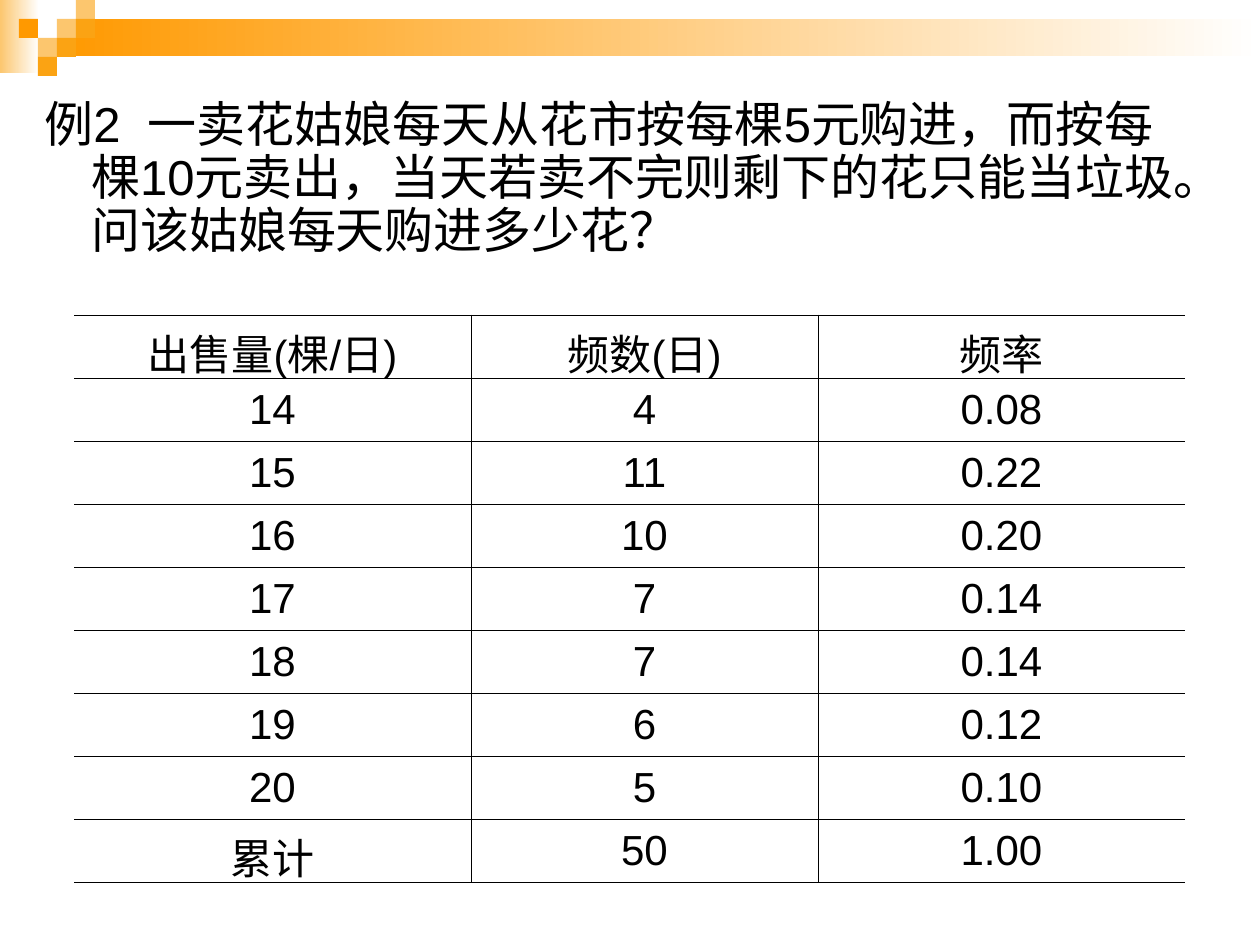
from dataclasses import dataclass

from lxml import etree
from pptx import Presentation
from pptx.dml.color import RGBColor
from pptx.enum.shapes import MSO_SHAPE
from pptx.enum.text import MSO_ANCHOR, PP_ALIGN
from pptx.oxml.ns import qn
from pptx.util import Emu, Pt

RECTANGLE = MSO_SHAPE.RECTANGLE
MIDDLE = MSO_ANCHOR.MIDDLE
CENTER = PP_ALIGN.CENTER

BLACK = RGBColor(0x00, 0x00, 0x00)
WHITE = RGBColor(0xFF, 0xFF, 0xFF)
ORANGE = RGBColor(0xFF, 0x99, 0x00)
AMBER = RGBColor(0xFB, 0xA3, 0x13)
PEACH = RGBColor(0xFC, 0xC6, 0x6E)

FONT = "Arial"
EMU_PER_PX = 914400 / 126
SQUARE = 19
BORDER_WIDTH = Pt(0.45)

QUESTION = (
    "例2  一卖花姑娘每天从花市按每棵5元购进，而按每棵10元卖出，"
    "当天若卖不完则剩下的花只能当垃圾。问该姑娘每天购进多少花？"
)
SALES = [
    ("出售量(棵/日)", "频数(日)", "频率"),
    ("14", "4", "0.08"),
    ("15", "11", "0.22"),
    ("16", "10", "0.20"),
    ("17", "7", "0.14"),
    ("18", "7", "0.14"),
    ("19", "6", "0.12"),
    ("20", "5", "0.10"),
    ("累计", "50", "1.00"),
]
COLUMN_WIDTHS = (397, 347, 367)
ROW_HEIGHT = 63


@dataclass(frozen=True)
class Box:
    left: int
    top: int
    width: int
    height: int

    def emu(self) -> tuple[Emu, ...]:
        return tuple(px(n) for n in (self.left, self.top, self.width, self.height))


@dataclass(frozen=True)
class Square:
    column: int
    row: int
    color: RGBColor


SQUARES = [
    Square(3, 1, PEACH),
    Square(4, 0, PEACH),
    Square(4, 1, AMBER),
    Square(2, 2, PEACH),
    Square(1, 1, ORANGE),
    Square(3, 2, AMBER),
    Square(2, 3, AMBER),
]


def px(length: int) -> Emu:
    return Emu(round(length * EMU_PER_PX))


def add_rectangle(slide, box: Box):
    shape = slide.shapes.add_shape(RECTANGLE, *box.emu())
    shape.shadow.inherit = False
    shape.line.fill.background()
    return shape


def add_fade(slide, box: Box, start: RGBColor) -> None:
    fill = add_rectangle(slide, box).fill
    fill.gradient()
    fill.gradient_angle = 0
    for stop, color in zip(fill.gradient_stops, (start, WHITE)):
        stop.color.rgb = color


def add_square(slide, square: Square) -> None:
    box = Box(square.column * SQUARE, square.row * SQUARE, SQUARE, SQUARE)
    fill = add_rectangle(slide, box).fill
    fill.solid()
    fill.fore_color.rgb = square.color


def format_paragraph(paragraph, size: int, space_before: int) -> None:
    paragraph.space_before = Pt(space_before)
    for run in paragraph.runs:
        run.font.name = FONT
        run.font.size = Pt(size)
        run.font.color.rgb = BLACK


def add_question(slide, box: Box) -> None:
    text_frame = slide.shapes.add_textbox(*box.emu()).text_frame
    text_frame.word_wrap = True
    text_frame.text = QUESTION
    paragraph = text_frame.paragraphs[0]
    paragraph.line_spacing = 0.9
    format_paragraph(paragraph, 28, 7)
    # Hanging indent
    properties = paragraph._p.get_or_add_pPr()
    properties.set("marL", str(px(47)))
    properties.set("indent", str(px(-47)))


def set_borders(cell, visible: dict[str, bool]) -> None:
    properties = cell._tc.get_or_add_tcPr()
    # Borders come before the fill in the cell properties
    for position, (side, shown) in enumerate(visible.items()):
        line = etree.Element(qn(f"a:{side}"), w=str(BORDER_WIDTH))
        if shown:
            fill = etree.SubElement(line, qn("a:solidFill"))
            etree.SubElement(fill, qn("a:srgbClr"), val=str(BLACK))
        else:
            etree.SubElement(line, qn("a:noFill"))
        properties.insert(position, line)


def add_sales_table(slide, left: int, top: int) -> None:
    box = Box(left, top, sum(COLUMN_WIDTHS), ROW_HEIGHT * len(SALES))
    table = slide.shapes.add_table(len(SALES), len(COLUMN_WIDTHS), *box.emu()).table
    table.first_row = False
    table.horz_banding = False
    for column, width in zip(table.columns, COLUMN_WIDTHS):
        column.width = px(width)
    last_column = len(COLUMN_WIDTHS) - 1
    for row_index, values in enumerate(SALES):
        table.rows[row_index].height = px(ROW_HEIGHT)
        for column_index, value in enumerate(values):
            cell = table.cell(row_index, column_index)
            cell.fill.background()
            cell.vertical_anchor = MIDDLE
            cell.text_frame.text = value
            paragraph = cell.text_frame.paragraphs[0]
            paragraph.alignment = CENTER
            format_paragraph(paragraph, 24, 6)
            set_borders(cell, {
                "lnL": column_index > 0,
                "lnR": column_index < last_column,
                "lnT": True,
                "lnB": True,
            })


def main() -> None:
    presentation = Presentation()
    presentation.slide_width = px(1260)
    presentation.slide_height = px(945)
    slide = presentation.slides.add_slide(presentation.slide_layouts[6])

    # Header decoration
    add_fade(slide, Box(0, 0, 39, 73), PEACH)
    add_fade(slide, Box(57, 19, 1203, 37), ORANGE)
    for square in SQUARES:
        add_square(slide, square)

    # Question and sales frequencies
    add_question(slide, Box(32, 94, 1170, 180))
    add_sales_table(slide, 74, 315)

    presentation.save("out.pptx")


if __name__ == "__main__":
    main()
